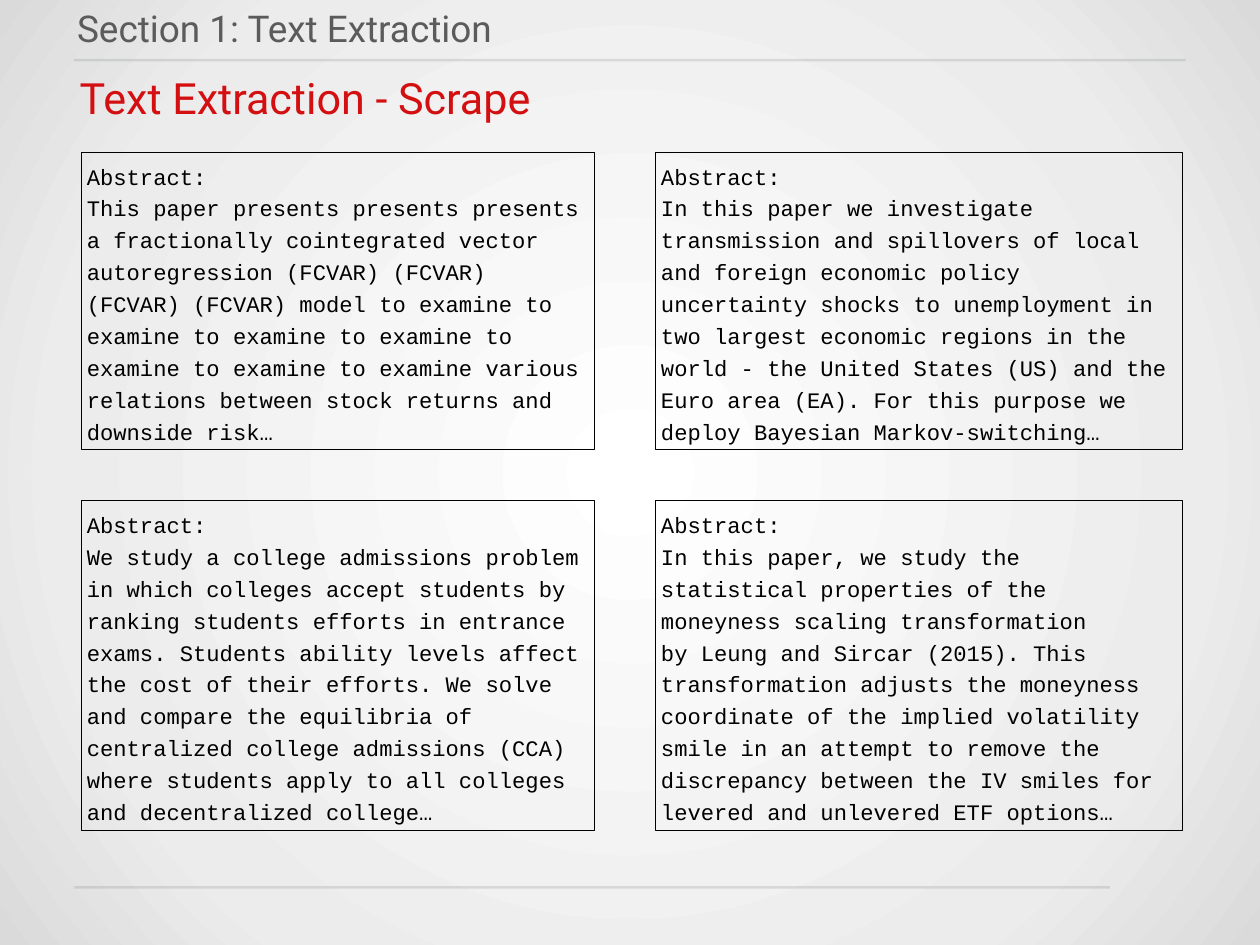
from dataclasses import dataclass

from pptx import Presentation
from pptx.dml.color import RGBColor
from pptx.enum.shapes import MSO_CONNECTOR, MSO_SHAPE
from pptx.enum.text import MSO_ANCHOR, MSO_AUTO_SIZE, PP_ALIGN
from pptx.oxml import parse_xml
from pptx.oxml.ns import nsdecls, qn
from pptx.oxml.xmlchemy import OxmlElement
from pptx.util import Inches, Pt

RED = RGBColor(0xD3, 0x0F, 0x11)
GRAY = RGBColor(0x5B, 0x5B, 0x5B)
RULE_GRAY = RGBColor(0x5A, 0x5F, 0x5E)
BLACK = RGBColor(0, 0, 0)
BACKGROUND_STOPS = (
    (0, RGBColor(0xFF, 0xFF, 0xFF)),
    (73, RGBColor(0xEC, 0xEC, 0xEC)),
    (100, RGBColor(0xDA, 0xDA, 0xDA)),
)
RULE_OPACITY = 16
INSET = Inches(0.06)


@dataclass(frozen=True)
class Span:
    """Start and length of a grid column or row, in inches."""
    start: float
    length: float


@dataclass(frozen=True)
class Abstract:
    column: int
    row: int
    lines: tuple[str, ...]


@dataclass(frozen=True)
class Rule:
    left: float
    right: float
    top: float


COLUMNS = (Span(0.92, 5.79), Span(7.4, 5.95))
ROWS = (Span(1.72, 3.36), Span(5.65, 3.73))
RULES = (Rule(0.83, 13.38, 0.68), Rule(0.84, 12.53, 10.02))

ABSTRACTS = (
    Abstract(0, 0, (
        "This paper presents presents presents a fractionally cointegrated vector "
        "autoregression (FCVAR) (FCVAR) (FCVAR) (FCVAR) model to examine to examine "
        "to examine to examine to examine to examine to examine various relations "
        "between stock returns and downside risk…",
    )),
    Abstract(1, 0, (
        "In this paper we investigate transmission and spillovers of local and "
        "foreign economic policy uncertainty shocks to unemployment in two largest "
        "economic regions in the world - the United States (US) and the Euro area "
        "(EA). For this purpose we deploy Bayesian Markov-switching…",
    )),
    Abstract(0, 1, (
        "We study a college admissions problem in which colleges accept students by "
        "ranking students efforts in entrance exams. Students ability levels affect "
        "the cost of their efforts. We solve and compare the equilibria of "
        "centralized college admissions (CCA) where students apply to all colleges "
        "and decentralized college…",
    )),
    Abstract(1, 1, (
        "In this paper, we study the statistical properties of the moneyness scaling "
        "transformation",
        "by Leung and Sircar (2015). This transformation adjusts the moneyness",
        "coordinate of the implied volatility smile in an attempt to remove the",
        "discrepancy between the IV smiles for levered and unlevered ETF options…",
    )),
)


def write_text(shape, *lines: str, size: float, color: RGBColor, font: str = "Roboto",
               spacing: float = 1.0, wrap: bool = True) -> None:
    frame = shape.text_frame
    frame.auto_size = MSO_AUTO_SIZE.NONE
    frame.word_wrap = wrap
    frame.vertical_anchor = MSO_ANCHOR.MIDDLE
    frame.margin_left = frame.margin_right = INSET
    frame.margin_top = frame.margin_bottom = INSET
    frame.text = "\n".join(lines)
    for paragraph in frame.paragraphs:
        paragraph.alignment = PP_ALIGN.LEFT
        paragraph.line_spacing = spacing
        paragraph.font.name = font
        paragraph.font.size = Pt(size)
        paragraph.font.color.rgb = color


def paint_background(slide) -> None:
    slide.background.fill.gradient()
    stops = "".join(
        f'<a:gs pos="{share * 1000}"><a:srgbClr val="{color}"/></a:gs>'
        for share, color in BACKGROUND_STOPS
    )
    radial = parse_xml(
        f'<a:gradFill {nsdecls("a")} rotWithShape="1"><a:gsLst>{stops}</a:gsLst>'
        '<a:path path="circle"><a:fillToRect l="50000" t="50000" r="50000" b="50000"/>'
        '</a:path></a:gradFill>'
    )
    linear = slide.element.find(".//" + qn("a:gradFill"))
    linear.getparent().replace(linear, radial)


def draw_rule(slide, rule: Rule) -> None:
    connector = slide.shapes.add_connector(
        MSO_CONNECTOR.STRAIGHT, Inches(rule.left), Inches(rule.top),
        Inches(rule.right), Inches(rule.top))
    connector.line.width = Pt(2)
    connector.line.color.rgb = RULE_GRAY
    properties = connector.element.spPr
    alpha = OxmlElement("a:alpha")
    alpha.set("val", str(RULE_OPACITY * 1000))
    properties.find(".//" + qn("a:srgbClr")).append(alpha)
    properties.append(OxmlElement("a:effectLst"))


def draw_abstract(slide, abstract: Abstract) -> None:
    column, row = COLUMNS[abstract.column], ROWS[abstract.row]
    shape = slide.shapes.add_shape(
        MSO_SHAPE.RECTANGLE, Inches(column.start), Inches(row.start),
        Inches(column.length), Inches(row.length))
    shape.shadow.inherit = False
    shape.fill.background()
    shape.line.color.rgb = BLACK
    shape.line.width = Pt(1)
    write_text(shape, "Abstract:", *abstract.lines, size=18, color=BLACK,
               font="Courier New", spacing=1.2)


def main() -> None:
    presentation = Presentation()
    presentation.slide_width = Inches(14.22)
    presentation.slide_height = Inches(10.67)
    slide = presentation.slides.add_slide(presentation.slide_layouts[5])
    paint_background(slide)

    # Rules at the head and foot
    for rule in RULES:
        draw_rule(slide, rule)

    # Title and section name
    title = slide.shapes.title
    title.left, title.top = Inches(0.84), Inches(0.76)
    title.width, title.height = Inches(12.54), Inches(0.67)
    write_text(title, "Text Extraction - Scrape", size=35, color=RED)
    section = slide.shapes.add_textbox(
        Inches(0.81), Inches(0.01), Inches(4.69), Inches(0.6))
    write_text(section, "Section 1: Text Extraction", size=30, color=GRAY, wrap=False)

    # Grid of scraped abstracts
    for abstract in ABSTRACTS:
        draw_abstract(slide, abstract)

    presentation.save("out.pptx")


if __name__ == "__main__":
    main()
